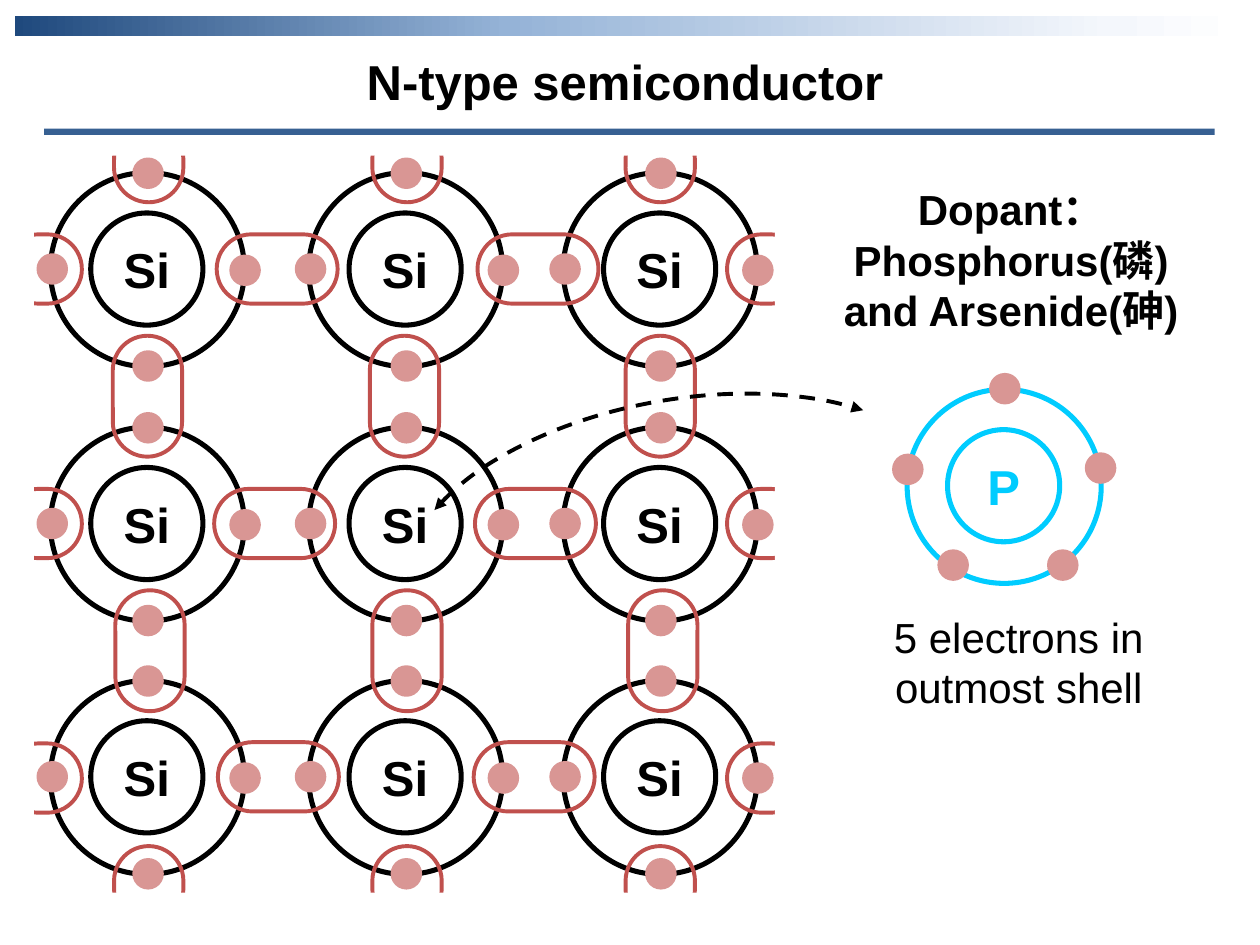
"""Build the N-type semiconductor slide: silicon lattice, bonds and phosphorus dopant."""
import copy

from lxml import etree
from pptx import Presentation
from pptx import util as u
from pptx.dml.color import RGBColor
from pptx.enum import dml, shapes, text
from pptx.oxml.ns import qn

OVAL = shapes.MSO_SHAPE.OVAL
ROUND = shapes.MSO_SHAPE.ROUNDED_RECTANGLE
RECT = shapes.MSO_SHAPE.RECTANGLE
BLACK, WHITE, PINK, RED, CYAN = "000000", "FFFFFF", "D99694", "C0504D", "00CCFF"


def add_shape(parent, kind, box, fill=None, line=None, width=2.88, rot=0):
    sp = parent.shapes.add_shape(kind, *[u.Inches(v) for v in box])
    sp.shadow.inherit = False
    sp.rotation = rot
    if fill:
        sp.fill.solid()
        sp.fill.fore_color.rgb = RGBColor.from_string(fill)
    else:
        sp.fill.background()
    if line:
        sp.line.color.rgb = RGBColor.from_string(line)
        sp.line.width = u.Pt(width)
    else:
        sp.line.fill.background()
    if kind == ROUND:
        sp.adjustments[0] = 0.5
    return sp


def write(sp, words, size, color, bold):
    p = sp.text_frame.paragraphs[0]
    p.alignment = text.PP_ALIGN.CENTER
    r = p.add_run()
    r.text = words
    r.font.name = "Arial"
    r.font.size = u.Pt(size)
    r.font.bold = bold
    r.font.color.rgb = RGBColor.from_string(color)


prs = Presentation()
prs.slide_width, prs.slide_height = u.Inches(10), u.Inches(7.5)
s = prs.slides.add_slide(prs.slide_layouts[6])

cols, rows = (0.4, 2.45, 4.47), (1.37, 3.39, 5.4)
si_electrons = [(0.67, -0.1), (-0.09, 0.66), (0.67, 1.43), (1.44, 0.67)]
p_electrons = [(-0.1, 0.53), (1.13, 1.29), (1.43, 0.52), (0.67, -0.11), (0.26, 1.29)]

lattice = s.shapes.add_group_shape()
bonds = s.shapes.add_group_shape()
dopant = s.shapes.add_group_shape()

atoms = [(lattice, x, y, "Si", BLACK, si_electrons) for y in rows for x in cols]
atoms.append((dopant, 7.2, 3.09, "P", CYAN, p_electrons))
for group, x, y, symbol, color, electrons in atoms:
    add_shape(group, OVAL, (x, y, 1.54, 1.54), line=color)
    core = add_shape(group, OVAL, (x + 0.32, y + 0.32, 0.89, 0.89), line=color)
    core.text_frame.word_wrap = False
    core.text_frame.vertical_anchor = text.MSO_ANCHOR.MIDDLE
    write(core, symbol, 28, color, True)
    for dx, dy in electrons:
        add_shape(group, OVAL, (x + dx, y + dy, 0.21, 0.21), PINK, PINK)

for y, lefts in [(1.86, (1.72, 3.79)), (3.88, (1.7, 3.77)), (5.89, (1.73, 3.76))]:
    for x in lefts:
        add_shape(bonds, ROUND, (x, y, 0.96, 0.55), line=RED, width=2.25)
for y, lefts in [(2.87, (0.69, 2.73, 4.76)), (4.89, (0.71, 2.75, 4.78))]:
    for x in lefts:
        add_shape(bonds, ROUND, (x, y, 0.96, 0.55), line=RED, width=2.25, rot=90)

edges = []
for x, mask_dx in [(0.03, -0.31), (5.77, 0.38)]:
    edges += [(x, y, mask_dx, -0.05, 0) for y in (1.86, 3.88, 5.9)]
for y, mask_dy, rot in [(1.02, -0.38, 270), (6.75, 0.29, 90)]:
    edges += [(x, y, 0.04, mask_dy, rot) for x in (0.87, 2.92, 4.93)]
for x, y, dx, dy, rot in edges:
    add_shape(bonds, ROUND, (x, y, 0.62, 0.55), line=RED, width=2.25, rot=rot)
    add_shape(bonds, RECT, (x + dx, y + dy, 0.55, 0.64), fill=WHITE, rot=rot)

band = add_shape(s, RECT, (0.12, 0.13, 9.76, 0.16))
band.fill.gradient()
band.fill.gradient_angle = 0
stop_list = band._element.spPr.find(qn("a:gradFill")).find(qn("a:gsLst"))
for gs in list(stop_list):
    stop_list.append(copy.deepcopy(gs))
stops = [(0, "1F497D"), (0.4, "95B3D7"), (0.89, "F4F7FC"), (1, WHITE)]
for stop, (position, color) in zip(band.fill.gradient_stops, stops):
    stop.position = position
    stop.color.rgb = RGBColor.from_string(color)
add_shape(s, RECT, (0.35, 1.02, 9.29, 0.05), fill="376092")

arc = add_shape(s, shapes.MSO_SHAPE.ARC, (3.17, 3.17, 4.5, 2.37), line=BLACK, width=2.25, rot=350)
arc.adjustments[0], arc.adjustments[1] = 119.3, 199.49
arc.line.dash_style = dml.MSO_LINE.DASH
for end in ("a:headEnd", "a:tailEnd"):
    etree.SubElement(arc.line._get_or_add_ln(), qn(end), type="triangle")

captions = [
    ((0.67, 0.36, 8.58, 0.57), "N-type semiconductor", 28, True),
    ((6.38, 1.41, 3.29, 1.31), "Dopant：Phosphorus(磷) and Arsenide(砷)", 24, True),
    ((6.89, 4.8, 2.39, 0.91), "5 electrons in outmost shell", 24, False),
]
for box, words, size, bold in captions:
    tb = s.shapes.add_textbox(*[u.Inches(v) for v in box])
    tb.text_frame.word_wrap = True
    tb.text_frame.auto_size = text.MSO_AUTO_SIZE.SHAPE_TO_FIT_TEXT
    write(tb, words, size, BLACK, bold)

prs.save("out.pptx")
